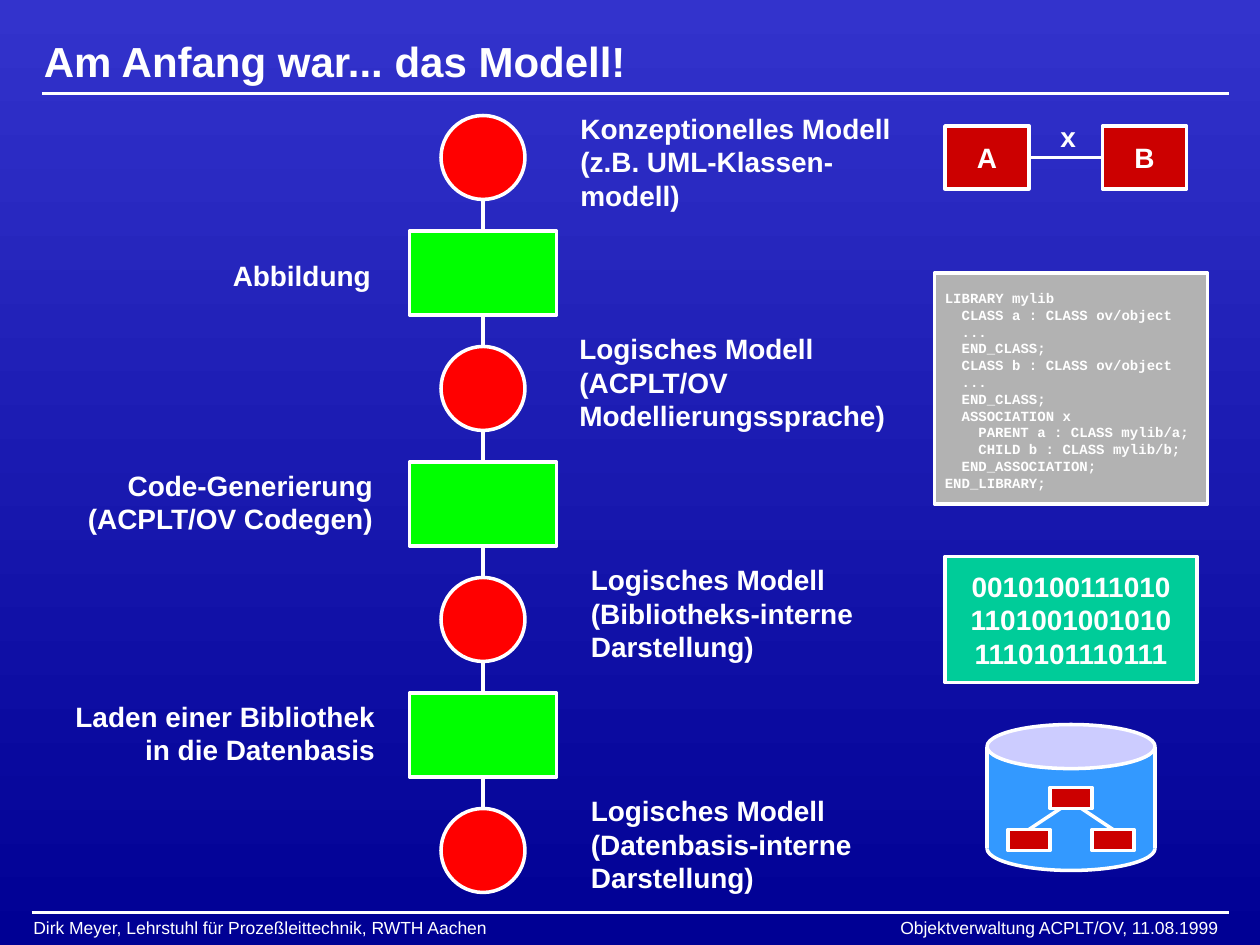
from typing import NamedTuple

from lxml import etree
from pptx import Presentation
from pptx.dml.color import RGBColor
from pptx.enum.shapes import MSO_CONNECTOR, MSO_SHAPE
from pptx.enum.text import MSO_ANCHOR, MSO_AUTO_SIZE, PP_ALIGN
from pptx.oxml.ns import qn
from pptx.util import Emu, Pt

PX = 7620  # EMU per px, 120 px to the inch
RECTANGLE, ELLIPSE = MSO_SHAPE.RECTANGLE, MSO_SHAPE.OVAL
STRAIGHT = MSO_CONNECTOR.STRAIGHT
LEFT, CENTER, RIGHT = PP_ALIGN.LEFT, PP_ALIGN.CENTER, PP_ALIGN.RIGHT
TOP, MIDDLE = MSO_ANCHOR.TOP, MSO_ANCHOR.MIDDLE
GROW, FIXED = MSO_AUTO_SIZE.SHAPE_TO_FIT_TEXT, MSO_AUTO_SIZE.NONE
SIDE_TOP, SIDE_LEFT, SIDE_RIGHT = 0, 1, 3

WHITE = RGBColor(0xFF, 0xFF, 0xFF)
SKY = RGBColor(0x33, 0x33, 0xCC)
NAVY = RGBColor(0x00, 0x00, 0x94)
RED = RGBColor(0xFF, 0x00, 0x00)
GREEN = RGBColor(0x00, 0xFF, 0x00)
DARK_RED = RGBColor(0xCC, 0x00, 0x00)
GRAY = RGBColor(0xB2, 0xB2, 0xB2)
TEAL = RGBColor(0x00, 0xCC, 0x99)
BLUE = RGBColor(0x33, 0x99, 0xFF)
LAVENDER = RGBColor(0xCC, 0xCC, 0xFF)

CHAIN_TOP, CHAIN_STEP, CHAIN_CENTER = 110, 220, 460
NODE_HEIGHT, STEP_WIDTH = 80, 140
CODE_INDENT = 16


class Rect(NamedTuple):
    left: int
    top: int
    width: int
    height: int


class Label(NamedTuple):
    place: Rect
    text: str
    align: PP_ALIGN


class CodeLine(NamedTuple):
    level: int
    text: str


LABELS = [
    Label(Rect(541, 100, 324, 108), "Konzeptionelles Modell\n(z.B. UML-Klassen-\nmodell)", LEFT),
    Label(Rect(540, 310, 320, 108), "Logisches Modell\n(ACPLT/OV\nModellierungssprache)", LEFT),
    Label(Rect(551, 530, 286, 108), "Logisches Modell\n(Bibliotheks-interne\nDarstellung)", LEFT),
    Label(Rect(551, 750, 286, 108), "Logisches Modell\n(Datenbasis-interne\nDarstellung)", LEFT),
    Label(Rect(205, 240, 160, 44), "Abbildung", RIGHT),
    Label(Rect(65, 440, 302, 77), "Code-Generierung\n(ACPLT/OV Codegen)", RIGHT),
    Label(Rect(55, 660, 314, 77), "Laden einer Bibliothek\nin die Datenbasis", RIGHT),
    Label(Rect(998, 108, 40, 44), "x", LEFT),
]

CODE = [
    CodeLine(0, "LIBRARY mylib"),
    CodeLine(1, "CLASS a : CLASS ov/object"),
    CodeLine(1, "..."),
    CodeLine(1, "END_CLASS;"),
    CodeLine(1, "CLASS b : CLASS ov/object"),
    CodeLine(1, "..."),
    CodeLine(1, "END_CLASS;"),
    CodeLine(1, "ASSOCIATION x"),
    CodeLine(2, "PARENT a : CLASS mylib/a;"),
    CodeLine(2, "CHILD b : CLASS mylib/b;"),
    CodeLine(1, "END_ASSOCIATION;"),
    CodeLine(0, "END_LIBRARY;"),
]


def emu(*lengths: int) -> list[Emu]:
    return [Emu(length * PX) for length in lengths]


def write(shape, text: str, *, size: int = 16, font: str = "Arial", bold: bool = True,
          align: PP_ALIGN = LEFT, anchor: MSO_ANCHOR = TOP, wrap: bool = False,
          grow: bool = False) -> None:
    """Fill a shape with text, one paragraph for each line."""
    frame = shape.text_frame
    frame.text = text
    frame.word_wrap = wrap
    frame.auto_size = GROW if grow else FIXED
    frame.vertical_anchor = anchor
    for para in frame.paragraphs:
        para.alignment = align
        for span in para.runs:
            span.font.size = Pt(size)
            span.font.name = font
            span.font.bold = bold
            span.font.color.rgb = WHITE


def add_text(shapes, place: Rect, text: str, **text_format):
    box = shapes.add_textbox(*emu(*place))
    write(box, text, **text_format)
    return box


def add_figure(shapes, kind: MSO_SHAPE, place: Rect, fill: RGBColor, outlined: bool = True):
    figure = shapes.add_shape(kind, *emu(*place))
    figure.shadow.inherit = False
    figure.fill.solid()
    figure.fill.fore_color.rgb = fill
    if outlined:
        figure.line.color.rgb = WHITE
        figure.line.width = Pt(2)
    else:
        figure.line.fill.background()
    return figure


def add_line(shapes, x1: int, y1: int, x2: int, y2: int):
    line = shapes.add_connector(STRAIGHT, *emu(x1, y1, x2, y2))
    line.line.color.rgb = WHITE
    line.line.width = Pt(2)
    etree.SubElement(line._element.spPr, qn("a:effectLst"))
    return line


def add_right_tab(para, position: int) -> None:
    tabs = etree.SubElement(para._p.get_or_add_pPr(), qn("a:tabLst"))
    etree.SubElement(tabs, qn("a:tab"), pos=str(position * PX), algn="r")


def draw_frame(page) -> None:
    """Draw background, title and footer."""
    fill = page.background.fill
    fill.gradient()
    fill.gradient_angle = 270
    for stop, color in zip(fill.gradient_stops, (SKY, NAVY)):
        stop.color.rgb = color
    add_line(page.shapes, 40, 89, 1170, 89)
    footer = add_text(
        page.shapes, Rect(20, 867, 1180, 32),
        "Dirk Meyer, Lehrstuhl für Prozeßleittechnik, RWTH Aachen\t"
        "Objektverwaltung ACPLT/OV, 11.08.1999",
        size=10, bold=False, wrap=True, grow=True)
    add_right_tab(footer.text_frame.paragraphs[0], 1128)
    add_line(page.shapes, 30, 869, 1170, 869)
    add_text(page.shapes, Rect(30, 29, 1140, 58), "Am Anfang war... das Modell!",
             size=24, anchor=MIDDLE, wrap=True)


def draw_chain(shapes) -> None:
    """Draw four models, with a processing step between each two."""
    add_line(shapes, CHAIN_CENTER, CHAIN_TOP + NODE_HEIGHT,
             CHAIN_CENTER, CHAIN_TOP + 3 * CHAIN_STEP)
    for index in range(7):
        is_model = index % 2 == 0
        kind, width, color = ((ELLIPSE, NODE_HEIGHT, RED) if is_model
                              else (RECTANGLE, STEP_WIDTH, GREEN))
        top = CHAIN_TOP + index * CHAIN_STEP // 2
        add_figure(shapes, kind,
                   Rect(CHAIN_CENTER - width // 2, top, width, NODE_HEIGHT), color)


def draw_classes(shapes) -> None:
    class_a, class_b = (add_figure(shapes, RECTANGLE, Rect(left, 120, 80, 60), DARK_RED)
                        for left in (900, 1050))
    write(class_a, "A", align=CENTER, anchor=MIDDLE)
    write(class_b, "B", align=CENTER, anchor=MIDDLE)
    association = add_line(shapes, 1050, 150, 980, 150)
    association.begin_connect(class_b, SIDE_LEFT)
    association.end_connect(class_a, SIDE_RIGHT)


def draw_code(shapes) -> None:
    add_figure(shapes, RECTANGLE, Rect(890, 260, 260, 220), GRAY)
    listing = add_text(shapes, Rect(888, 270, 260, 204), "\n".join(line.text for line in CODE),
                       size=8, font="Courier New", grow=True)
    for para, line in zip(listing.text_frame.paragraphs, CODE):
        para._p.get_or_add_pPr().set("marL", str(line.level * CODE_INDENT * PX))


def draw_database(shapes) -> None:
    cylinder = shapes.add_group_shape().shapes
    add_figure(cylinder, ELLIPSE, Rect(940, 787, 160, 42), BLUE)
    add_figure(cylinder, RECTANGLE, Rect(940, 711, 160, 97), BLUE, outlined=False)
    add_figure(cylinder, ELLIPSE, Rect(940, 690, 160, 42), LAVENDER)
    for x in (940, 1100):
        add_line(cylinder, x, 711, x, 808)

    _, left_child, right_child = [
        add_figure(shapes, RECTANGLE, Rect(left, top, 40, 20), DARK_RED)
        for left, top in ((1000, 750), (960, 790), (1040, 790))]
    add_line(shapes, 980, 790, 1010, 770).begin_connect(left_child, SIDE_TOP)
    add_line(shapes, 1030, 770, 1060, 790).end_connect(right_child, SIDE_TOP)


def main() -> None:
    deck = Presentation()
    deck.slide_width, deck.slide_height = emu(1200, 900)
    page = deck.slides.add_slide(deck.slide_layouts[6])
    draw_frame(page)
    draw_chain(page.shapes)
    draw_classes(page.shapes)
    draw_code(page.shapes)
    for label in LABELS:
        add_text(page.shapes, label.place, label.text, align=label.align, grow=True)
    binary = add_figure(page.shapes, RECTANGLE, Rect(900, 530, 240, 120), TEAL)
    write(binary, "0010100111010\n1101001001010\n1110101110111", align=CENTER, anchor=MIDDLE)
    draw_database(page.shapes)
    deck.save("out.pptx")


if __name__ == "__main__":
    main()
